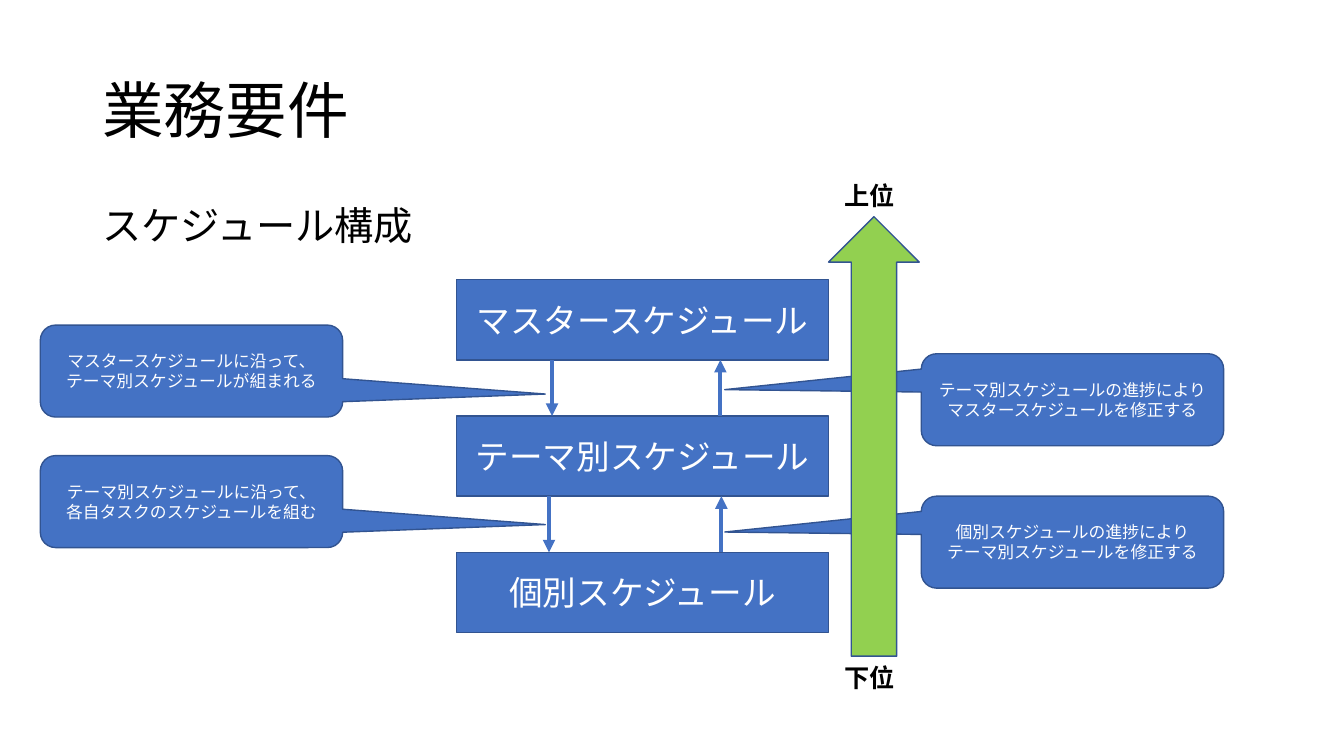
from dataclasses import dataclass

from pptx import Presentation, util as u
from pptx.dml.color import RGBColor
from pptx.enum import shapes, text
from pptx.oxml import ns, xmlchemy as xml


@dataclass(frozen=True)
class Theme:
    """Colours, font and type sizes of the deck."""
    font: str = "Noto Sans CJK JP"
    ink: str = "000000"
    paper: str = "FFFFFF"
    blue: str = "4472C4"
    outline: str = "325491"
    green: str = "92D050"
    title: int = 44
    subtitle: int = 28
    level: int = 24
    label: int = 18
    note: int = 12
    border: int = 1
    arrow: int = 3


@dataclass(frozen=True)
class Box:
    """A rectangle in grid columns and rows."""
    col: float
    row: float
    cols: float
    rows: float

    def inner(self, col, row, cols, rows):
        """Return a box placed relative to this one."""
        return Box(self.col + col, self.row + row, cols, rows)

    def frame(self):
        """Return left, top, width and height as lengths."""
        return (*point(self.col, self.row), *point(self.cols, self.rows))


THEME = Theme()
WIDTH, HEIGHT = u.Inches(13.33), u.Inches(7.5)
COLUMNS, ROWS = 40, 30


def point(col, row):
    """Turn a grid position into lengths."""
    return round(WIDTH * col / COLUMNS), round(HEIGHT * row / ROWS)


def write(shape, *lines, size, color=THEME.ink, bold=False, align=text.PP_ALIGN.LEFT,
          anchor=text.MSO_ANCHOR.TOP, wrap=True, spacing=None, before=None):
    """Write one paragraph for each line into a shape."""
    frame = shape.text_frame
    frame.word_wrap = wrap
    frame.vertical_anchor = anchor
    for index, line in enumerate(lines):
        para = frame.add_paragraph() if index else frame.paragraphs[0]
        para.alignment = align
        para.line_spacing = spacing
        para.space_before = before
        span = para.add_run()
        span.text = line
        font = span.font
        font.name, font.size, font.bold = THEME.font, u.Pt(size), bold
        font.color.rgb = RGBColor.from_string(color)
        east_asian = xml.OxmlElement("a:ea")
        east_asian.set("typeface", THEME.font)
        font._element.find(ns.qn("a:latin")).addnext(east_asian)


def add_text(page, box, *lines, **style):
    """Add a text box."""
    shape = page.shapes.add_textbox(*box.frame())
    write(shape, *lines, **style)
    return shape


def add_shape(page, box, kind, fill=THEME.blue):
    """Add a flat, outlined preset shape."""
    shape = page.shapes.add_shape(kind, *box.frame())
    shape.shadow.inherit = False
    shape.fill.solid()
    shape.fill.fore_color.rgb = RGBColor.from_string(fill)
    shape.line.color.rgb = RGBColor.from_string(THEME.outline)
    shape.line.width = u.Pt(THEME.border)
    return shape


def add_arrow(page, col, start, end):
    """Add a vertical arrow between two rows."""
    arrow = page.shapes.add_connector(
        shapes.MSO_CONNECTOR.STRAIGHT, *point(col, start), *point(col, end))
    arrow.line.color.rgb = RGBColor.from_string(THEME.blue)
    arrow.line.width = u.Pt(THEME.arrow)
    head = xml.OxmlElement("a:tailEnd")
    head.set("type", "triangle")
    arrow.line._get_or_add_ln().append(head)
    arrow._element.spPr.append(xml.OxmlElement("a:effectLst"))


def add_heading(page, box):
    """Place the title and subtitle."""
    add_text(page, box.inner(0, 0, box.cols, 5.8), "業務要件", size=THEME.title,
             anchor=text.MSO_ANCHOR.MIDDLE, spacing=0.9)
    add_text(page, box.inner(0, 6.4, box.cols, 2.12), "スケジュール構成",
             size=THEME.subtitle, spacing=0.9, before=u.Pt(10))


def add_levels(page, box):
    """Stack the schedule levels and join neighbours with arrows both ways."""
    names = ("マスタースケジュール", "テーマ別スケジュール", "個別スケジュール")
    height = 3.18
    pitch = (box.rows - height) / (len(names) - 1)
    for index, name in enumerate(names):
        level = add_shape(page, box.inner(0, index * pitch, box.cols, height),
                          shapes.MSO_SHAPE.RECTANGLE)
        write(level, name, size=THEME.level, color=THEME.paper,
              align=text.PP_ALIGN.CENTER, anchor=text.MSO_ANCHOR.MIDDLE)
    for index, (down, up) in enumerate(((2.85, 7.86), (2.76, 7.89))):
        upper = box.row + index * pitch + height
        lower = box.row + (index + 1) * pitch
        add_arrow(page, box.col + down, upper, lower)
        add_arrow(page, box.col + up, lower, upper)


def add_notes(page, box, notes, tip):
    """Spread callouts down a column, all pointing the same way."""
    height = 3.65
    pitch = (box.rows - height) / (len(notes) - 1)
    for index, lines in enumerate(notes):
        note = add_shape(page, box.inner(0, index * pitch, box.cols, height),
                         shapes.MSO_SHAPE.ROUNDED_RECTANGULAR_CALLOUT)
        note.adjustments[0], note.adjustments[1] = tip
        write(note, *lines, size=THEME.note, color=THEME.paper,
              align=text.PP_ALIGN.CENTER, anchor=text.MSO_ANCHOR.MIDDLE)


def add_rank(page, box):
    """Draw the rank arrow with a label at each end."""
    arrow = add_shape(page, box.inner(0, 1.64, box.cols, 17.44),
                      shapes.MSO_SHAPE.DOWN_ARROW, THEME.green)
    arrow.rotation = 180
    for row, name in ((0, "上位"), (box.rows - 1.6, "下位")):
        label = add_text(page, box.inner(0.18, row, 2.19, 1.6), name,
                         size=THEME.label, bold=True, wrap=False)
        label.text_frame.auto_size = text.MSO_AUTO_SIZE.SHAPE_TO_FIT_TEXT


def add_schedule_page(deck):
    """Build the schedule structure slide."""
    page = deck.slides.add_slide(deck.slide_layouts[6])
    add_heading(page, Box(2.75, 1.6, 34.5, 8.52))
    add_levels(page, Box(13.58, 11.1, 11.08, 14))
    add_notes(page, Box(1.2, 12.9, 9, 8.83), (
        ("マスタースケジュールに沿って、", "テーマ別スケジュールが組まれる"),
        ("テーマ別スケジュールに沿って、", "各自タスクのスケジュールを組む"),
    ), tip=(1.17, 0.25))
    add_notes(page, Box(27.42, 14.04, 9, 9.3), (
        ("テーマ別スケジュールの進捗により", "マスタースケジュールを修正する"),
        ("個別スケジュールの進捗により", "テーマ別スケジュールを修正する"),
    ), tip=(-1.15, -0.11))
    add_rank(page, Box(24.66, 6.96, 2.7, 20.72))


deck = Presentation()
deck.slide_width, deck.slide_height = WIDTH, HEIGHT
add_schedule_page(deck)
deck.save("out.pptx")
